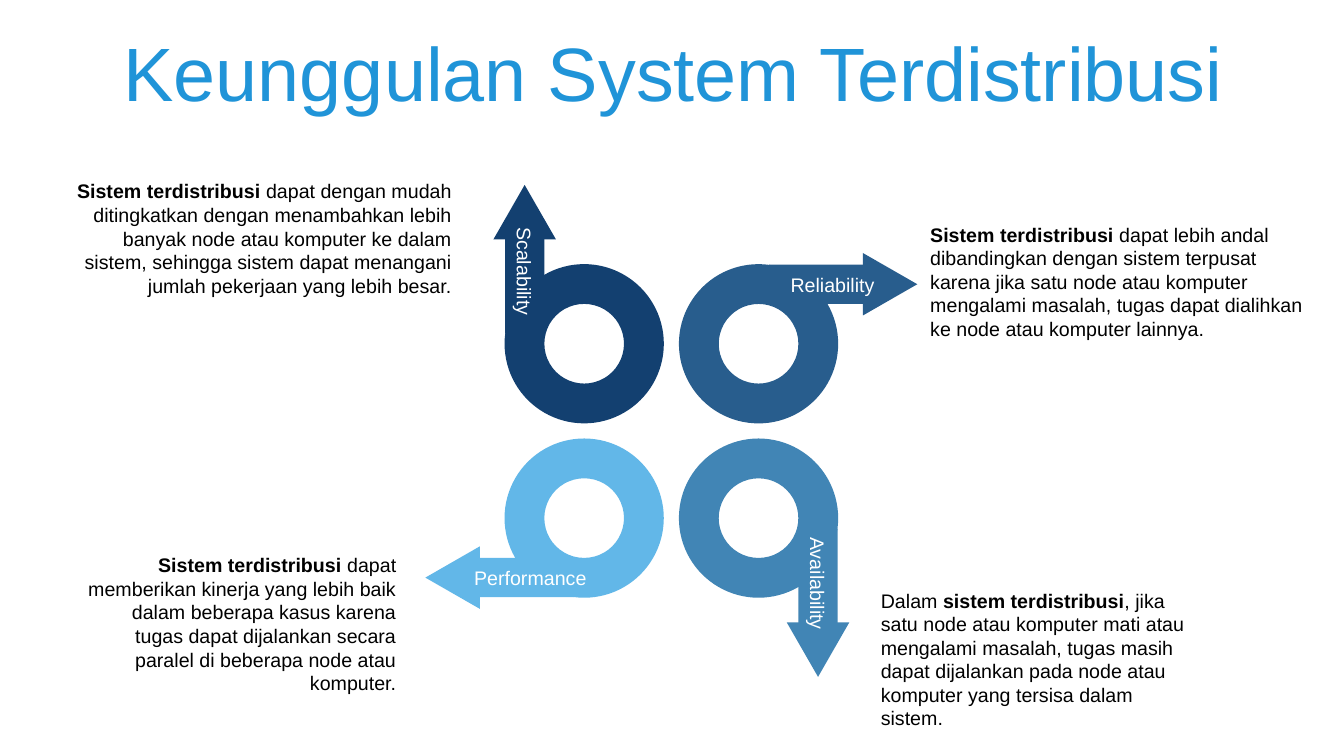
from pptx import Presentation
from pptx import util as u
from pptx.dml.color import RGBColor
from pptx.enum import shapes, text

THEME = {
    "font": "Arial", "title": "2094D8", "body": "000000", "label": "FFFFFF",
    "navy": "134070", "blue": "285D8D", "steel": "4185B5", "sky": "62B7E8",
    "big": 54, "small": 14,
}
COLS, ROWS = 133.33, 75
CELL = u.Inches(0.1)

deck = Presentation()
deck.slide_width, deck.slide_height = int(COLS * CELL), int(ROWS * CELL)
slide = deck.slides.add_slide(deck.slide_layouts[6])


def write(words, x, y, wide, high, size=THEME["small"], color="body", align="LEFT",
          anchor="TOP", turn=0, lead=None, before=None, grow=True):
    box = slide.shapes.add_textbox(*(int(n * CELL) for n in (x, y, wide, high)))
    box.rotation = turn
    frame = box.text_frame
    frame.word_wrap = True
    frame.auto_size = text.MSO_AUTO_SIZE.SHAPE_TO_FIT_TEXT if grow else text.MSO_AUTO_SIZE.NONE
    frame.vertical_anchor = text.MSO_ANCHOR[anchor]
    para = frame.paragraphs[0]
    para.alignment = text.PP_ALIGN[align]
    para.line_spacing = lead
    para.space_before = before
    for i, part in enumerate(words.split("*")):
        if part:
            run = para.add_run()
            run.text = part
            run.font.name = THEME["font"]
            run.font.size = u.Pt(size)
            run.font.bold = i % 2 == 1
            run.font.color.rgb = RGBColor.from_string(THEME[color])


def draw(group, kind, midx, midy, wide, high, turn, color):
    part = group.shapes.add_shape(
        kind, *(int(n * CELL) for n in (midx - wide / 2, midy - high / 2, wide, high)))
    part.rotation = turn % 360
    part.shadow.inherit = False
    part.fill.solid()
    part.fill.fore_color.rgb = RGBColor.from_string(THEME[color])
    part.line.fill.background()


write("Keunggulan System Terdistribusi", 3.5, 3.7, 126.6, 7.9, size=THEME["big"],
      color="title", align="CENTER", anchor="MIDDLE", lead=0.9, before=u.Pt(10), grow=False)

MIDX, MIDY, STEP = 66.6, 42.75, 8.65
RING, BAND, SIDE = 15.8, 3.9, 5.9
KIND = shapes.MSO_SHAPE

arms = [
    ("Performance", "sky", -1, 1, 180, 3.35, 17.1, "LEFT"),
    ("Reliability", "blue", 1, -1, 0, 5.45, 14.1, "RIGHT"),
    ("Scalability", "navy", -1, -1, 270, 5.2, 14.7, "LEFT"),
    ("Availability", "steel", 1, 1, 90, 5.1, 13.9, "RIGHT"),
]
for name, color, col, row, turn, reach, wide, align in arms:
    x, y = MIDX + col * STEP, MIDY + row * STEP
    dx, dy = {0: (1, 0), 90: (0, 1), 180: (-1, 0), 270: (0, -1)}[turn]
    edgex, edgey = x + dy * SIDE, y - dx * SIDE
    group = slide.shapes.add_group_shape()
    draw(group, KIND.DONUT, x, y, RING, RING, turn + 180, color)
    draw(group, KIND.RECTANGLE, edgex + dx * 5.8, edgey + dy * 5.8, 9.5, BAND, turn, color)
    draw(group, KIND.ISOSCELES_TRIANGLE, edgex + dx * 13.05, edgey + dy * 13.05,
         6.2, 5.4, turn + 90, color)
    write(name, edgex + dx * reach - wide / 2, edgey + dy * reach - 1.7, wide, 3.4,
          color="label", align=align, anchor="MIDDLE", turn=90 if dy else 0)

notes = [
    ("Dalam *sistem terdistribusi*, jika satu node atau komputer mati atau mengalami masalah, "
     "tugas masih dapat dijalankan pada node atau komputer yang tersisa dalam sistem.",
     86.4, 57.9, 32.6, 15.1, "LEFT"),
    ("*Sistem terdistribusi *dapat memberikan kinerja yang lebih baik dalam beberapa kasus "
     "karena tugas dapat dijalankan secara paralel di beberapa node atau komputer.",
     7.7, 54.4, 32.6, 15.1, "RIGHT"),
    ("*Sistem terdistribusi *dapat lebih andal dibandingkan dengan sistem terpusat karena jika "
     "satu node atau komputer mengalami masalah, tugas dapat dialihkan ke node atau komputer "
     "lainnya.", 91.3, 21.6, 40.5, 12.8, "LEFT"),
    ("*Sistem terdistribusi *dapat dengan mudah ditingkatkan dengan menambahkan lebih banyak "
     "node atau komputer ke dalam sistem, sehingga sistem dapat menangani jumlah pekerjaan "
     "yang lebih besar.", 6, 17.3, 39.8, 12.8, "RIGHT"),
]
for words, x, y, wide, high, align in notes:
    write(words, x, y, wide, high, align=align)

deck.save("out.pptx")
